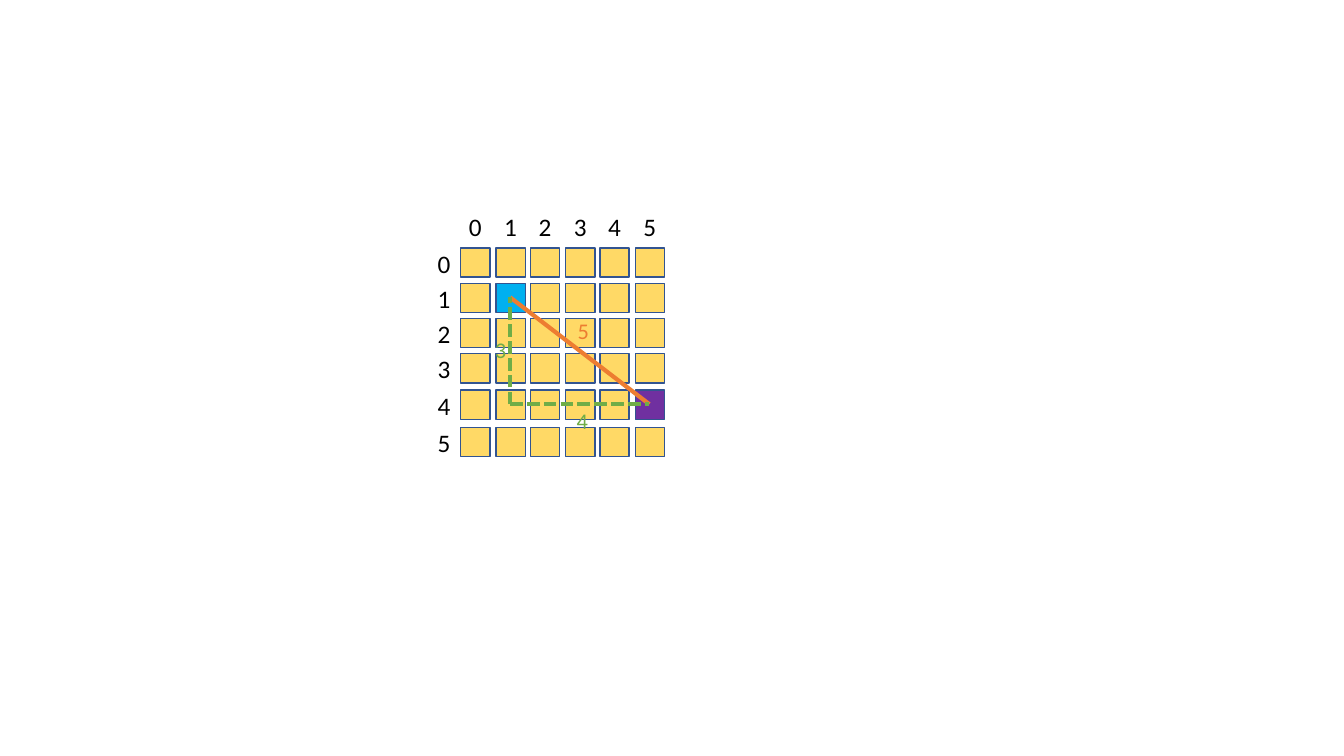
from dataclasses import dataclass

from lxml.etree import SubElement
from pptx import Presentation
from pptx.dml.color import RGBColor as RGB
from pptx.enum.dml import MSO_LINE as Dash
from pptx.enum.shapes import MSO_CONNECTOR as Conn, MSO_SHAPE as Shape
from pptx.enum.text import MSO_AUTO_SIZE as Fit, PP_ALIGN as Align
from pptx.oxml.ns import qn
from pptx.util import Pt

PX = 9144  # EMU per px, 100 px to the inch


@dataclass(frozen=True)
class Theme:
    font: str = "Calibri"
    ink: str = "000000"
    cell: str = "FFD966"
    edge: str = "325491"
    start: str = "00B0F0"
    goal: str = "7030A0"
    direct: str = "ED7D31"
    steps: str = "70AD47"
    axis: int = 18
    note: int = 16
    thin: int = 1
    thick: int = 3


THEME = Theme()
COUNT = 6
SIDE = 29
STEP = 34.6
ROWS = (0, 35, 70, 105, 141, 178)  # row tops below the grid's top
START, GOAL = (1, 1), (5, 4)  # column, row


def emu(*sizes):
    return [round(size * PX) for size in sizes]


def spot(box, col, row):
    """Top left corner of a cell."""
    left, top = box
    return round(left + col * STEP), top + ROWS[row]


def mid(box, col, row):
    x, y = spot(box, col, row)
    return x + SIDE // 2, y + SIDE // 2


def label(group, text, x, y, size, color):
    area = group.shapes.add_textbox(*emu(x, y, 33, 40 if size == THEME.axis else 37))
    frame = area.text_frame
    frame.word_wrap = False
    frame.auto_size = Fit.SHAPE_TO_FIT_TEXT
    para = frame.paragraphs[0]
    para.text = str(text)
    para.alignment = Align.CENTER
    para.font.name = THEME.font
    para.font.size = Pt(size)
    para.font.color.rgb = RGB.from_string(color)


def link(group, start, end, color, dash=None):
    line = group.shapes.add_connector(Conn.STRAIGHT, *emu(*start, *end))
    line.line.color.rgb = RGB.from_string(color)
    line.line.width = Pt(THEME.thick)
    if dash:
        line.line.dash_style = dash
    SubElement(line._element.spPr, qn("a:effectLst"))


def grid(group, box):
    """Square cells, with the start and the goal marked."""
    marks = {START: THEME.start, GOAL: THEME.goal}
    for row in range(COUNT):
        for col in range(COUNT):
            cell = group.shapes.add_shape(
                Shape.RECTANGLE, *emu(*spot(box, col, row), SIDE, SIDE))
            cell.shadow.inherit = False
            cell.fill.solid()
            color = marks.get((col, row), THEME.cell)
            cell.fill.fore_color.rgb = RGB.from_string(color)
            cell.line.color.rgb = RGB.from_string(THEME.edge)
            cell.line.width = Pt(THEME.thin)


def axes(group, box):
    """Column numbers above the grid, row numbers to its left."""
    left, top = box
    for col in range(COUNT):
        label(group, col, spot(box, col, 0)[0] - 2, top - 41, THEME.axis, THEME.ink)
    for row in range(COUNT):
        label(group, row, left - 33, spot(box, 0, row)[1] - 5, THEME.axis, THEME.ink)


def routes(group, box):
    """Direct line and stepped path from start to goal, with their lengths."""
    start, goal = mid(box, *START), mid(box, *GOAL)
    turn = mid(box, START[0], GOAL[1])
    link(group, start, goal, THEME.direct)
    link(group, turn, goal, THEME.steps, Dash.SQUARE_DOT)
    link(group, turn, start, THEME.steps, Dash.SQUARE_DOT)

    left, top = box
    for text, x, y, color in (
        (GOAL[1] - START[1], 23, 83, THEME.steps),
        (GOAL[0] - START[0], 104, 153, THEME.steps),
        (5, 105, 64, THEME.direct),
    ):
        label(group, text, left + x, top + y, THEME.note, color)


def main():
    deck = Presentation()
    deck.slide_width, deck.slide_height = emu(1333, 750)
    slide = deck.slides.add_slide(deck.slide_layouts[6])
    group = slide.shapes.add_group_shape()
    box = (457, 246)
    for draw in (grid, axes, routes):
        draw(group, box)
    deck.save("out.pptx")


if __name__ == "__main__":
    main()
